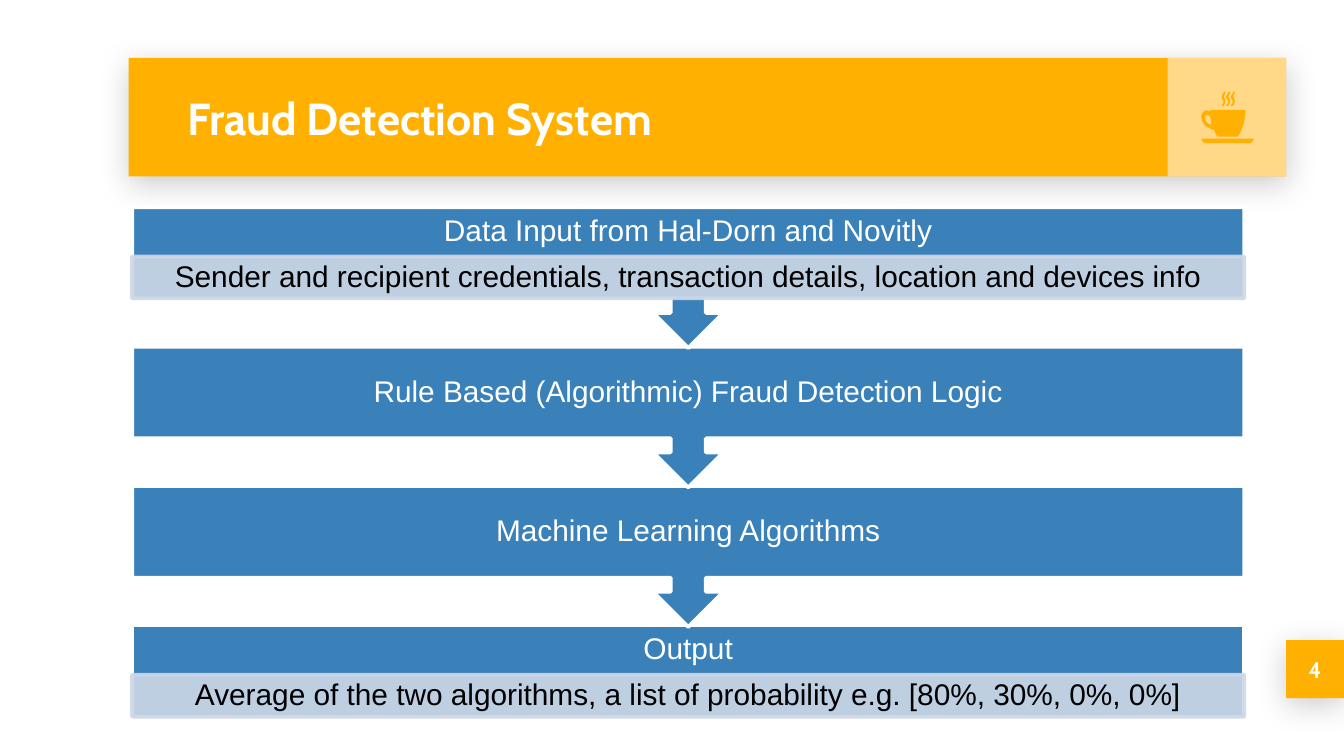
from dataclasses import dataclass

from lxml.etree import SubElement
from pptx import Presentation
from pptx.dml.color import RGBColor as RGB
from pptx.enum.shapes import MSO_SHAPE as Preset
from pptx.enum.text import MSO_ANCHOR as Anchor, PP_ALIGN as Align
from pptx.oxml.ns import qn
from pptx.util import Pt


@dataclass(frozen=True)
class Theme:
    amber: RGB = RGB(0xFF, 0xB0, 0x00)
    blue: RGB = RGB(0x3A, 0x81, 0xBA)
    pale: RGB = RGB(0xCE, 0xD8, 0xE7)
    white: RGB = RGB(0xFF, 0xFF, 0xFF)
    black: RGB = RGB(0x00, 0x00, 0x00)
    heading_font: str = "Cabin"
    body_font: str = "Arial"
    title_size: int = 24
    body_size: int = 16
    number_size: int = 12


theme = Theme()
prs = Presentation()
prs.slide_width, prs.slide_height = Pt(720), Pt(405)
slide = prs.slides.add_slide(prs.slide_layouts[6])
shapes = slide.shapes


def paint(shape, fill, line=None, opacity=100, shadow=False):
    shape.shadow.inherit = False
    shape.fill.solid()
    shape.fill.fore_color.rgb = fill
    if line is None:
        shape.line.fill.background()
    else:
        shape.line.color.rgb = line
        shape.line.width = Pt(2)
    properties = shape._element.spPr
    if opacity < 100:
        for color in properties.iter(qn("a:srgbClr")):
            SubElement(color, qn("a:alpha"), val=str(opacity * 1000))
    if shadow:
        outer = SubElement(properties.find(qn("a:effectLst")), qn("a:outerShdw"),
                           blurRad=str(Pt(16.9)), dist=str(Pt(3.8)),
                           dir="5400000", algn="t", rotWithShape="0")
        color = SubElement(outer, qn("a:srgbClr"), val="000000")
        SubElement(color, qn("a:alpha"), val="20000")


def label(box, text, size, color, font=theme.body_font, bold=False,
          align=Align.CENTER, spacing=0.9, margin_y=2):
    frame = shapes.add_textbox(*map(Pt, box)).text_frame
    frame.word_wrap = True
    frame.vertical_anchor = Anchor.MIDDLE
    frame.margin_left = frame.margin_right = Pt(7.2)
    frame.margin_top = frame.margin_bottom = Pt(margin_y)
    paragraph = frame.paragraphs[0]
    paragraph.alignment = align
    paragraph.line_spacing = spacing
    run = paragraph.add_run()
    run.text = text
    run.font.size = Pt(size)
    run.font.name = font
    run.font.bold = bold
    run.font.color.rgb = color


# Header band, icon tile and page number tile
number_box = (689, 343, 31, 31)
for box, fill, opacity, shadow in [
    (number_box, theme.amber, 100, True),
    ((69, 31, 620, 63.5), theme.amber, 100, True),
    ((625.5, 31, 63.5, 63.5), theme.white, 53, False),
]:
    tile = shapes.add_shape(Preset.RECTANGLE, *map(Pt, box))
    paint(tile, fill, opacity=opacity, shadow=shadow)

label((93.2, 31, 530, 63.5), "Fraud Detection System", theme.title_size, theme.white,
      theme.heading_font, bold=True, align=Align.LEFT, spacing=1.0)
label(number_box, "4", theme.number_size, theme.white,
      theme.heading_font, bold=True, spacing=1.0)

# Coffee cup icon: each part is a list of outlines, in points from the icon corner
icon_left, icon_top = 643.5, 49
cup = [(5.2, 9.9), (23, 9.9), (23.8, 10.6), (23.6, 13), (22.9, 17), (21.5, 21),
       (20.3, 23.3), (19.4, 24.2), (9, 24.2), (8, 23.3), (6.9, 20.6), (4.8, 19.9),
       (2.2, 18.4), (0.6, 16), (0, 13.7), (0.5, 11.8), (1.7, 10.5), (3.2, 10.1),
       (4.6, 10.6)]
handle_hole = [(3.4, 12.7), (2.4, 12.9), (1.9, 13.8), (2, 14.8), (2.8, 16.2),
               (3.9, 17.3), (5.5, 17.9), (5.1, 14.5), (4.6, 13.1)]
saucer = [(0, 25.2), (28.3, 25.2), (27.9, 26.3), (26.6, 27.6), (1.7, 27.6), (0.4, 26.3)]
steam = [(1.4, 0), (0.9, 1.2), (0, 2.5), (0, 3.2), (0.7, 4.5), (1.2, 5.6), (0.7, 6.6),
         (0, 7.6), (0.5, 7.9), (1.2, 7.5), (1.9, 6.2), (2.2, 5.2), (1.9, 4.3),
         (1.3, 3.1), (1.4, 2.2), (2, 1.2), (2.2, 0.2)]
wisps = [[[(x + 10.9 + 2.5 * i, y) for x, y in steam]] for i in range(3)]

for outlines in [[cup, handle_hole], [saucer], *wisps]:
    builder = None
    for outline in outlines:
        points = [(round((icon_left + x) * 100), round((icon_top + y) * 100))
                  for x, y in outline]
        if builder is None:
            builder = shapes.build_freeform(*points[0], scale=Pt(0.01))
        else:
            builder.move_to(*points[0])
        builder.add_line_segments(points[1:], close=True)
    paint(builder.convert_to_shape(), theme.amber)

# Flow of steps, stacked from the bottom up
steps = [
    ("Data Input from Hal-Dorn and Novitly",
     "Sender and recipient credentials, transaction details, location and devices info"),
    ("Rule Based (Algorithmic) Fraud Detection Logic", None),
    ("Machine Learning Algorithms", None),
    ("Output",
     "Average of the two algorithms, a list of probability e.g. [80%, 30%, 0%, 0%]"),
]
flow_left, flow_top, flow_width, pitch = 70.8, 111, 595.8, 74.7
block_height, callout_height = 49, 75.5
heading_height, detail_height = 26.4, 22.5

for index, (heading, detail) in reversed(list(enumerate(steps))):
    top = flow_top + index * pitch
    is_last = index == len(steps) - 1
    preset = Preset.RECTANGLE if is_last else Preset.UP_ARROW_CALLOUT
    height = block_height if is_last else callout_height
    block = shapes.add_shape(preset, Pt(flow_left), Pt(top), Pt(flow_width), Pt(height))
    block.rotation = 0 if is_last else 180
    paint(block, theme.blue, theme.white)
    label((flow_left, top, flow_width, heading_height if detail else block_height),
          heading, theme.body_size, theme.white)
    if detail:
        detail_box = (flow_left, top + heading_height, flow_width, detail_height)
        strip = shapes.add_shape(Preset.RECTANGLE, *map(Pt, detail_box))
        paint(strip, theme.pale, theme.pale, opacity=90)
        label(detail_box, detail, theme.body_size, theme.black, margin_y=1.5)

prs.save("out.pptx")
